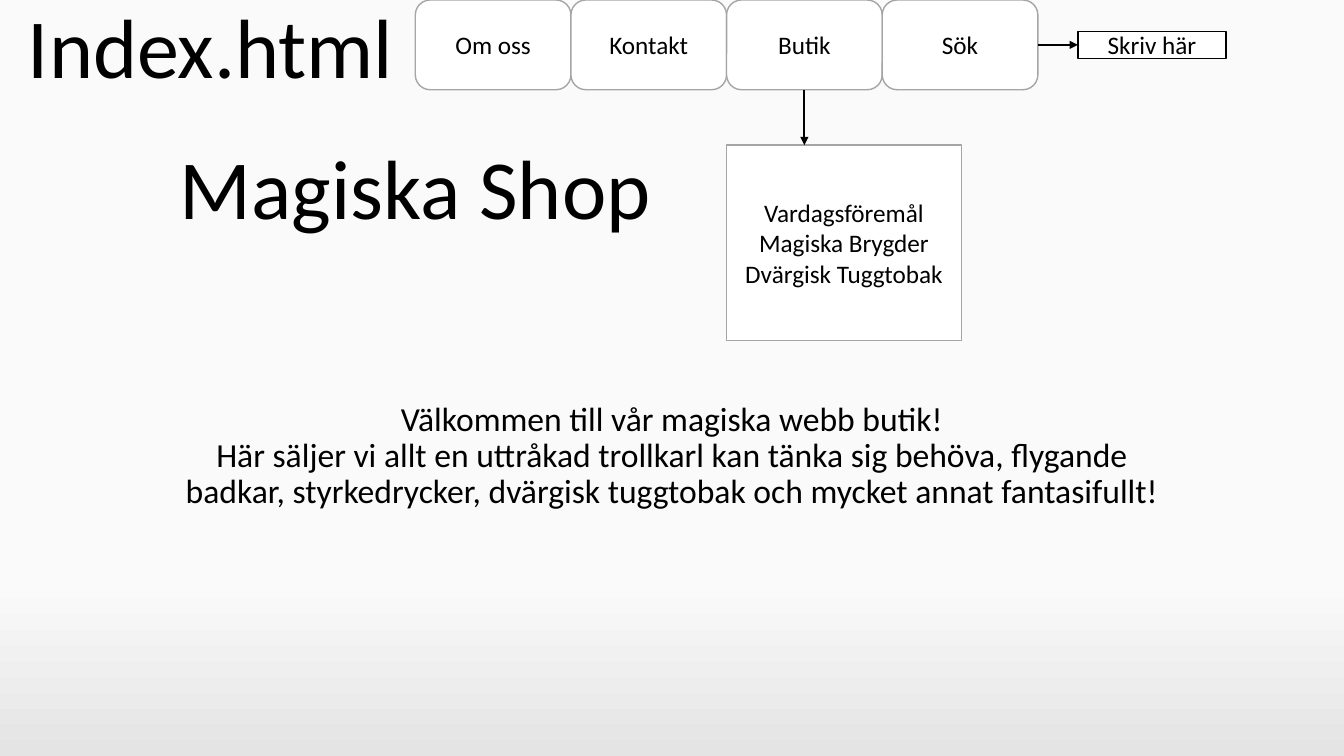
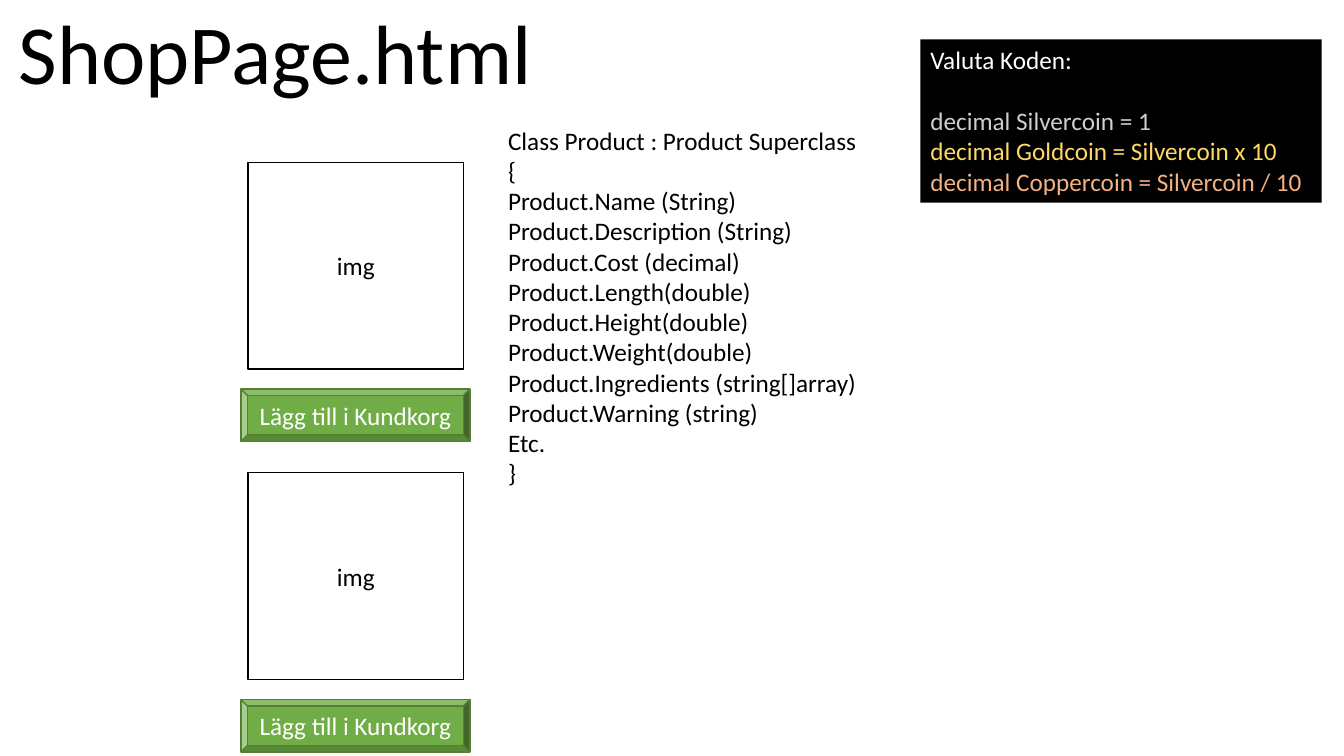
from lxml import etree
from pptx import Presentation
from pptx.dml.color import RGBColor
from pptx.enum.shapes import MSO_CONNECTOR, MSO_SHAPE
from pptx.enum.text import MSO_ANCHOR, MSO_AUTO_SIZE, PP_ALIGN
from pptx.oxml.ns import qn
from pptx.util import Inches, Pt

RECT, ROUNDED, BEVEL = MSO_SHAPE.RECTANGLE, MSO_SHAPE.ROUNDED_RECTANGLE, MSO_SHAPE.BEVEL
TOP, MIDDLE, BOTTOM = MSO_ANCHOR.TOP, MSO_ANCHOR.MIDDLE, MSO_ANCHOR.BOTTOM
LEFT, CENTER = PP_ALIGN.LEFT, PP_ALIGN.CENTER
STRAIGHT = MSO_CONNECTOR.STRAIGHT
NO_AUTOFIT = MSO_AUTO_SIZE.NONE
TITLE_ONLY = 5

FONT = "Calibri"
BLACK, WHITE, GREY = "000000", "FFFFFF", "A5A5A5"
GREEN, DARK_GREEN = "70AD47", "538035"
SILVER, GOLD, COPPER = "D0CECE", "FFD966", "F4B183"

deck = Presentation()
deck.slide_width, deck.slide_height = Inches(13.33), Inches(7.5)
COL, ROW = deck.slide_width / 100, deck.slide_height / 100


def color(hex_string):
    return RGBColor.from_string(hex_string)


def write(box, lines, place=None, size=18, ink=BLACK, align=CENTER,
          anchor=MIDDLE, spacing=None, fill=None, line=None):
    if place:
        left, top, width, height = place
        box.left, box.width = int(left * COL), int(width * COL)
        box.top, box.height = int(top * ROW), int(height * ROW)
    if fill:
        box.shadow.inherit = False
        box.fill.solid()
        box.fill.fore_color.rgb = color(fill)
        if line:
            box.line.color.rgb = color(line)
            box.line.width = Pt(1)
        else:
            box.line.fill.background()
    frame = box.text_frame
    frame.word_wrap = True
    frame.auto_size = NO_AUTOFIT
    frame.vertical_anchor = anchor
    frame.text = "\n".join(lines)
    for para in frame.paragraphs:
        para.alignment = align
        para.line_spacing = spacing
        para.font.name = FONT
        para.font.size = Pt(size)
        para.font.color.rgb = color(ink)


heading = dict(size=60, anchor=BOTTOM, spacing=0.9)
pages = []
for name, width, height in [("Index.html", 31.36, 13.47), ("ShopPage.html", 40.96, 14.27)]:
    page = deck.slides.add_slide(deck.slide_layouts[TITLE_ONLY])
    write(page.shapes.title, [name], (0, 0, width, height), **heading)
    pages.append(page)
index_page, shop_page = pages

backdrop = index_page.background.fill
backdrop.gradient()
backdrop.gradient_angle = 270
for stop, position, shade in zip(backdrop.gradient_stops, (0.77, 1), ("FAFAFA", "E4E4E4")):
    stop.position = position
    stop.color.rgb = color(shade)

shapes = index_page.shapes
write(shapes.add_textbox(0, 0, 0, 0), ["Magiska Shop"], (8.4, 18.67, 45, 13.46), **heading)
welcome = [
    "Välkommen till vår magiska webb butik!",
    "Här säljer vi allt en uttråkad trollkarl kan tänka sig behöva, flygande badkar, "
    "styrkedrycker, dvärgisk tuggtobak och mycket annat fantasifullt!",
]
write(shapes.add_textbox(0, 0, 0, 0), welcome, (12.5, 52.53, 75, 24.13),
      size=24, anchor=TOP, spacing=0.9)

tabs = ["Om oss", "Kontakt", "Butik", "Sök"]
menu_left, tab_width, tab_height = 30.9, 11.58, 11.87
for number, label in enumerate(tabs):
    write(shapes.add_shape(ROUNDED, 0, 0, 0, 0), [label],
          (menu_left + number * tab_width, 0, tab_width, tab_height), fill=WHITE, line=GREY)

shop_left = menu_left + tabs.index("Butik") * tab_width
shop_middle = shop_left + tab_width / 2
list_top = 19.2
write(shapes.add_shape(RECT, 0, 0, 0, 0),
      ["Vardagsföremål", "Magiska Brygder", "Dvärgisk Tuggtobak"],
      (shop_left, list_top, 17.48, 25.87), fill=WHITE, line=GREY)

menu_right = menu_left + len(tabs) * tab_width
field_left, field_height = 80.2, 3.6
write(shapes.add_shape(RECT, 0, 0, 0, 0), ["Skriv här"],
      (field_left, (tab_height - field_height) / 2, 11.03, field_height),
      fill=WHITE, line=BLACK)

for x1, y1, x2, y2 in [
    (shop_middle, tab_height, shop_middle, list_top),
    (menu_right, tab_height / 2, field_left, tab_height / 2),
]:
    arrow = shapes.add_connector(STRAIGHT, int(x1 * COL), int(y1 * ROW),
                                 int(x2 * COL), int(y2 * ROW))
    arrow.line.color.rgb = color(BLACK)
    arrow.line.width = Pt(1.5)
    etree.SubElement(arrow.line._get_or_add_ln(), qn("a:tailEnd"), type="triangle")
    etree.SubElement(arrow._element.spPr, qn("a:effectLst"))

shapes = shop_page.shapes
product_pitch = 41.07
for number in range(2):
    offset = number * product_pitch
    write(shapes.add_shape(RECT, 0, 0, 0, 0), ["img"],
          (18.45, 21.47 + offset, 16.05, 27.33), fill=WHITE, line=BLACK)
    write(shapes.add_shape(BEVEL, 0, 0, 0, 0), ["Lägg till i Kundkorg"],
          (17.93, 51.47 + offset, 17.03, 6.93), ink=WHITE, fill=GREEN, line=DARK_GREEN)

product_class = [
    "Class Product : Product Superclass",
    "{",
    "Product.Name (String)",
    "Product.Description (String)",
    "Product.Cost (decimal)",
    "Product.Length(double)",
    "Product.Height(double)",
    "Product.Weight(double)",
    "Product.Ingredients (string[]array)",
    "Product.Warning (string)",
    "Etc.",
    "}",
]
write(shapes.add_textbox(0, 0, 0, 0), product_class, (37.06, 15.87, 28.8, 49.87),
      align=LEFT, anchor=TOP)

currency = [
    ("Valuta Koden:", WHITE),
    ("decimal Silvercoin = 1", SILVER),
    ("decimal Goldcoin = Silvercoin x 10", GOLD),
    ("decimal Coppercoin = Silvercoin / 10", COPPER),
]
currency_box = shapes.add_shape(RECT, 0, 0, 0, 0)
write(currency_box, [text for text, ink in currency], (68.49, 5.2, 29.86, 21.6),
      align=LEFT, anchor=TOP, fill=BLACK)
currency_paras = currency_box.text_frame.paragraphs
for para, (text, ink) in zip(currency_paras, currency):
    para.font.color.rgb = color(ink)
currency_paras[0].space_after = Pt(22)

deck.save("out.pptx")
